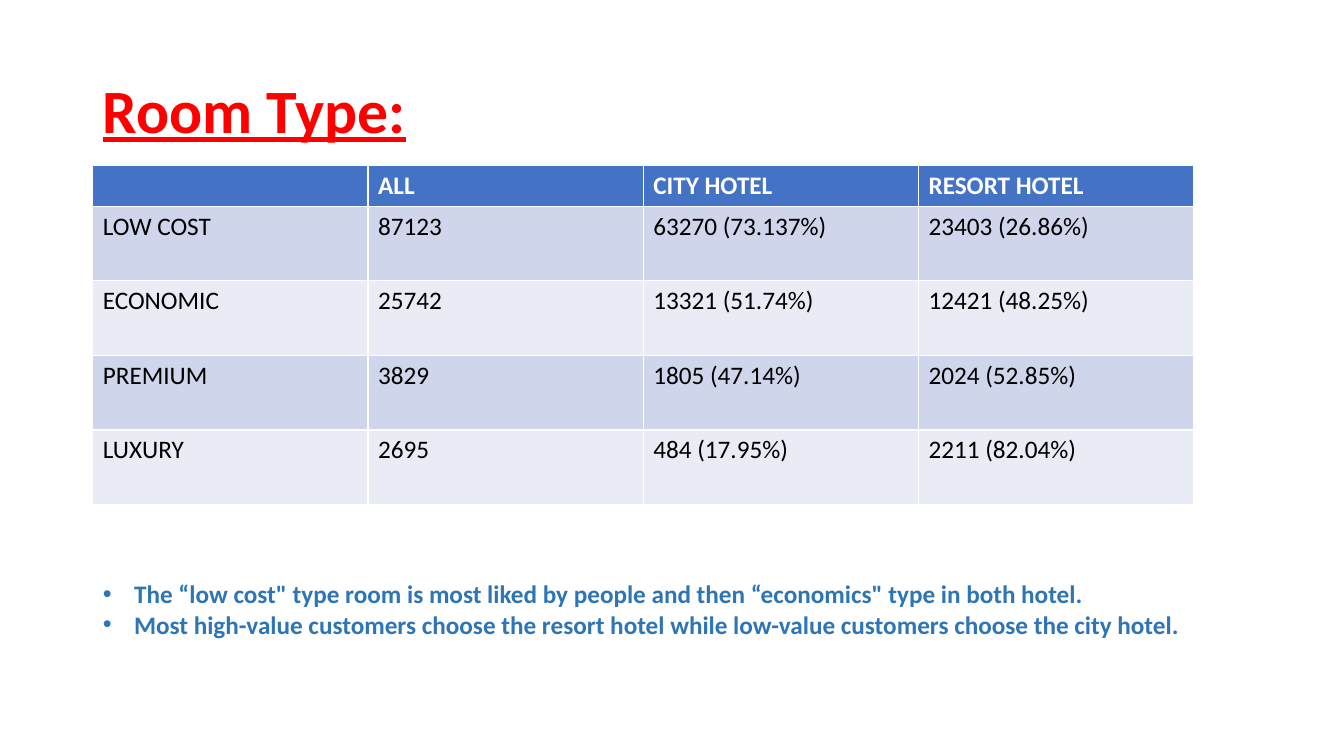
from pptx import Presentation
from pptx.dml.color import RGBColor
from pptx.enum.text import MSO_ANCHOR, MSO_AUTO_SIZE, PP_ALIGN
from pptx.util import Inches, Pt

LEFT = PP_ALIGN.LEFT
TOP = MSO_ANCHOR.TOP
MIDDLE = MSO_ANCHOR.MIDDLE
NO_FIT = MSO_AUTO_SIZE.NONE

COLORS = {
    "title": "FF0000",
    "header": "4472C4",
    "header_text": "FFFFFF",
    "band_dark": "CFD5EA",
    "band_light": "E9EBF5",
    "cell_text": "000000",
    "finding": "2E75B6",
}

ROWS = [
    ["", "ALL", "CITY HOTEL", "RESORT HOTEL"],
    ["LOW COST", "87123", "63270 (73.137%)", "23403 (26.86%)"],
    ["ECONOMIC", "25742", "13321 (51.74%)", "12421 (48.25%)"],
    ["PREMIUM", "3829", "1805 (47.14%)", "2024 (52.85%)"],
    ["LUXURY", "2695", "484 (17.95%)", "2211 (82.04%)"],
]

FINDINGS = [
    "The “low cost\" type room is most liked by people and then “economics\" type in both hotel.",
    "Most high-value customers choose the resort hotel while low-value customers choose the city hotel.",
]


def write(p, text, color, size=18, bold=False, underline=False, spacing=1.0):
    p.alignment = LEFT
    p.line_spacing = spacing
    p.space_before = Pt(0)
    if text:
        r = p.add_run()
        r.text = text
        r.font.name = "Calibri"
        r.font.size = Pt(size)
        r.font.bold = bold
        r.font.underline = underline
        r.font.color.rgb = RGBColor.from_string(COLORS[color])


prs = Presentation()
prs.slide_width = Inches(13.33)
prs.slide_height = Inches(7.5)
s = prs.slides.add_slide(prs.slide_layouts[1])

title = s.shapes.title
body = s.placeholders[1]
for sp, top, height, anchor in [(title, 0.4, 1.45, MIDDLE), (body, 5.69, 0.71, TOP)]:
    sp.left, sp.top = Inches(0.92), Inches(top)
    sp.width, sp.height = Inches(11.5), Inches(height)
    tf = sp.text_frame
    tf.word_wrap = True
    tf.auto_size = NO_FIT
    tf.vertical_anchor = anchor

write(title.text_frame.paragraphs[0], "Room Type:", "title", size=44,
      bold=True, underline=True, spacing=0.9)

tf = body.text_frame
for i, finding in enumerate(FINDINGS):
    p = tf.add_paragraph() if i else tf.paragraphs[0]
    write(p, finding, "finding", bold=True)
    pPr = p._p.get_or_add_pPr()
    pPr.set("marL", str(Inches(0.31)))
    pPr.set("indent", str(-Inches(0.31)))

table = s.shapes.add_table(len(ROWS), len(ROWS[0]), Inches(0.92), Inches(1.64),
                           Inches(10.92), Inches(3.36)).table
for col in table.columns:
    col.width = Inches(2.73)
for i, values in enumerate(ROWS):
    header = i == 0
    table.rows[i].height = Inches(0.4 if header else 0.74)
    fill = "header" if header else "band_dark" if i % 2 else "band_light"
    for j, value in enumerate(values):
        cell = table.cell(i, j)
        cell.fill.solid()
        cell.fill.fore_color.rgb = RGBColor.from_string(COLORS[fill])
        write(cell.text_frame.paragraphs[0], value,
              "header_text" if header else "cell_text", bold=header)

prs.save("out.pptx")
